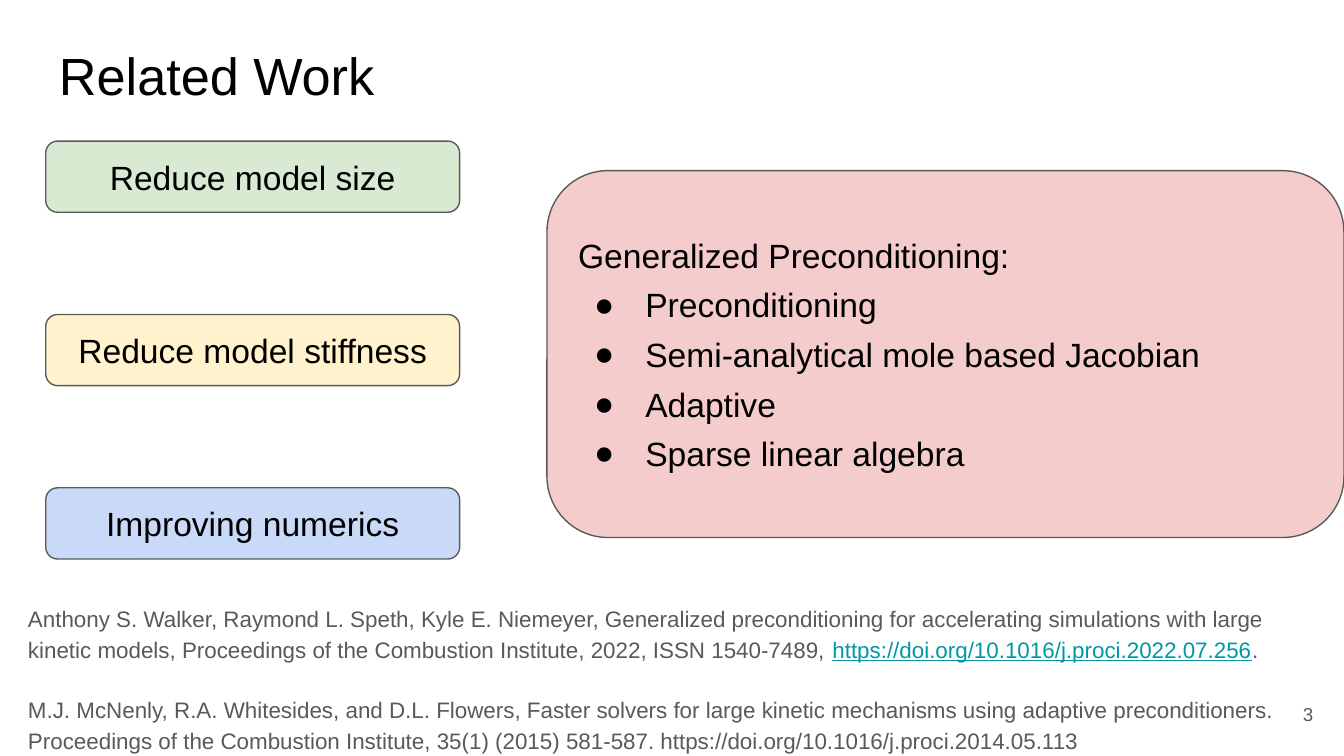
"""Build the Related Work slide: three approaches, a method summary and references."""
import pptx
import pptx.dml.color
import pptx.enum.shapes
import pptx.enum.text
import pptx.oxml
import pptx.oxml.ns
import pptx.util
from pptx.util import Inches

COLORS = {
    "black": "000000",
    "gray": "595959",
    "link": "0097A7",
    "green": "D9EAD3",
    "yellow": "FFF2CC",
    "blue": "C9DAF8",
    "red": "F4CCCC",
}
ALIGN = pptx.enum.text.PP_ALIGN
ANCHOR = pptx.enum.text.MSO_ANCHOR


def format_run(run, size, color):
    """Set the font of a run."""
    run.font.name = "Arial"
    run.font.size = pptx.util.Pt(size)
    run.font.color.rgb = pptx.dml.color.RGBColor.from_string(COLORS[color])


def add_text(box, fill, lines, size, color, align=ALIGN.LEFT, anchor=ANCHOR.MIDDLE):
    """Add a text box, or a filled rounded box, and return its paragraphs."""
    left, top, width, height = [Inches(length) for length in box]
    if fill:
        rounded = pptx.enum.shapes.MSO_SHAPE.ROUNDED_RECTANGLE
        shape = slide.shapes.add_shape(rounded, left, top, width, height)
        shape.shadow.inherit = False
        shape.fill.solid()
        shape.fill.fore_color.rgb = pptx.dml.color.RGBColor.from_string(COLORS[fill])
        shape.line.color.rgb = pptx.dml.color.RGBColor.from_string(COLORS["gray"])
        shape.line.width = pptx.util.Pt(0.75)
    else:
        shape = slide.shapes.add_textbox(left, top, width, height)
    frame = shape.text_frame
    frame.text = "\n".join(lines)
    frame.word_wrap = True
    frame.vertical_anchor = anchor
    frame.margin_left = frame.margin_right = Inches(0.1)
    frame.margin_top = frame.margin_bottom = Inches(0.1)
    for paragraph in frame.paragraphs:
        paragraph.alignment = align
        for run in paragraph.runs:
            format_run(run, size, color)
    return frame.paragraphs


presentation = pptx.Presentation()
presentation.slide_width = Inches(10)
presentation.slide_height = Inches(10) * 9 // 16
slide = presentation.slides.add_slide(presentation.slide_layouts[6])

add_text((0.34, 0.22, 9.32, 0.63), None, ["Related Work"], 28, "black", anchor=ANCHOR.TOP)

references = [
    "Anthony S. Walker, Raymond L. Speth, Kyle E. Niemeyer, Generalized preconditioning "
    "for accelerating simulations with large kinetic models, Proceedings of the "
    "Combustion Institute, 2022, ISSN 1540-7489, ",
    "M.J. McNenly, R.A. Whitesides, and D.L. Flowers, Faster solvers for large kinetic "
    "mechanisms using adaptive preconditioners. Proceedings of the Combustion Institute, "
    "35(1) (2015) 581-587. https://doi.org/10.1016/j.proci.2014.05.113",
]
walker, mcnenly = add_text(
    (0.11, 4.37, 9.55, 1.16), None, references, 12, "gray", anchor=ANCHOR.TOP
)
for text, color, underline in [
    ("https://doi.org/10.1016/j.proci.2022.07.256", "link", True),
    (".", "gray", False),
]:
    run = walker.add_run()
    run.text = text
    format_run(run, 12, color)
    run.font.underline = underline
walker.line_spacing = mcnenly.line_spacing = 1.15
mcnenly.space_before = mcnenly.space_after = pptx.util.Pt(16)

approaches = [
    ("Reduce model size", "green"),
    ("Reduce model stiffness", "yellow"),
    ("Improving numerics", "blue"),
]
for index, (label, fill) in enumerate(approaches):
    box = (0.34, 1.05 + 1.29 * index, 3.08, 0.53)
    add_text(box, fill, [label], 18, "black", ALIGN.CENTER)

add_text((9.27, 5.1, 0.6, 0.43), None, ["3"], 10, "gray", ALIGN.RIGHT)

summary = [
    "Generalized Preconditioning:",
    "Preconditioning",
    "Semi-analytical mole based Jacobian",
    "Adaptive",
    "Sparse linear algebra",
]
paragraphs = add_text((4.07, 1.27, 5.93, 2.73), "red", summary, 18, "black")
namespace = pptx.oxml.ns.nsdecls("a")
for paragraph in paragraphs[1:]:
    paragraph.space_before = pptx.util.Pt(5)
    properties = paragraph._p.get_or_add_pPr()
    properties.set("marL", str(Inches(0.5)))
    properties.set("indent", str(Inches(-0.38)))
    for element in [
        f'<a:buClr {namespace}><a:srgbClr val="{COLORS["black"]}"/></a:buClr>',
        f'<a:buFont {namespace} typeface="Arial"/>',
        f'<a:buChar {namespace} char="●"/>',
    ]:
        properties.append(pptx.oxml.parse_xml(element))
paragraphs[-1].space_after = pptx.util.Pt(5)

presentation.save("out.pptx")
